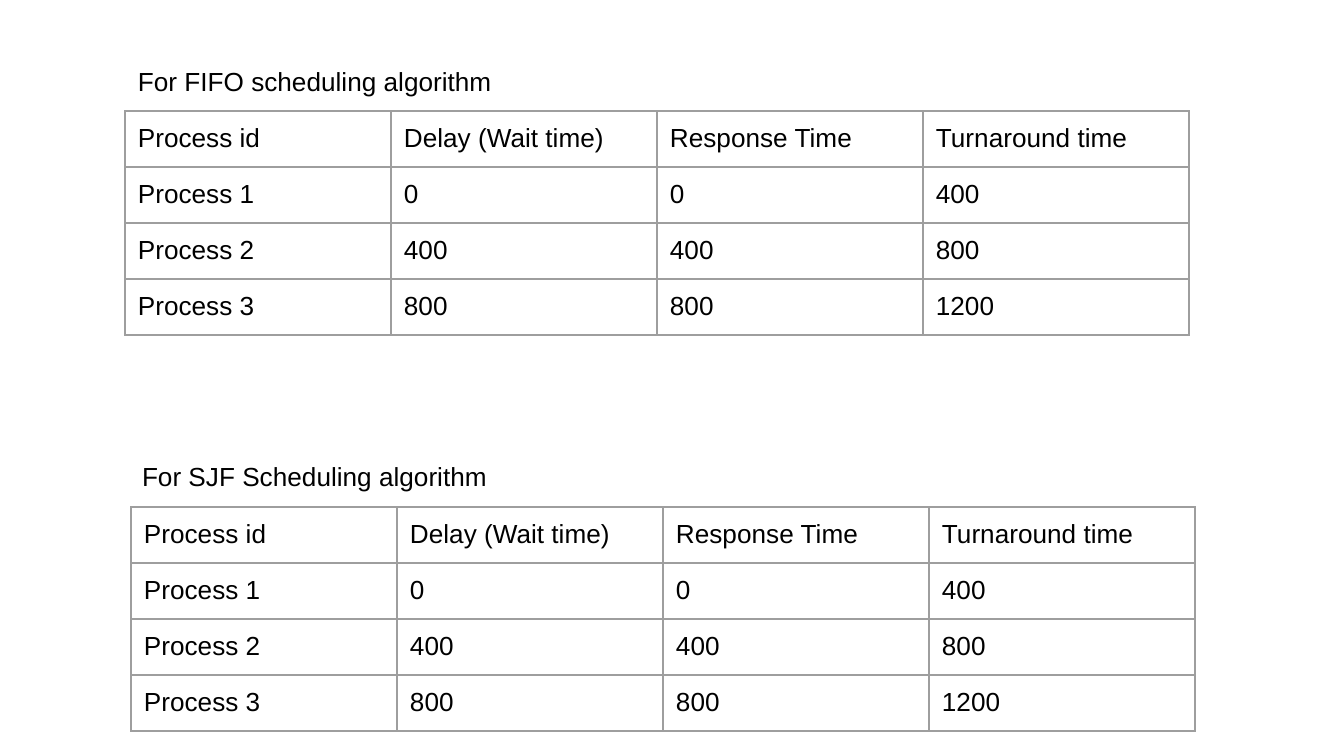
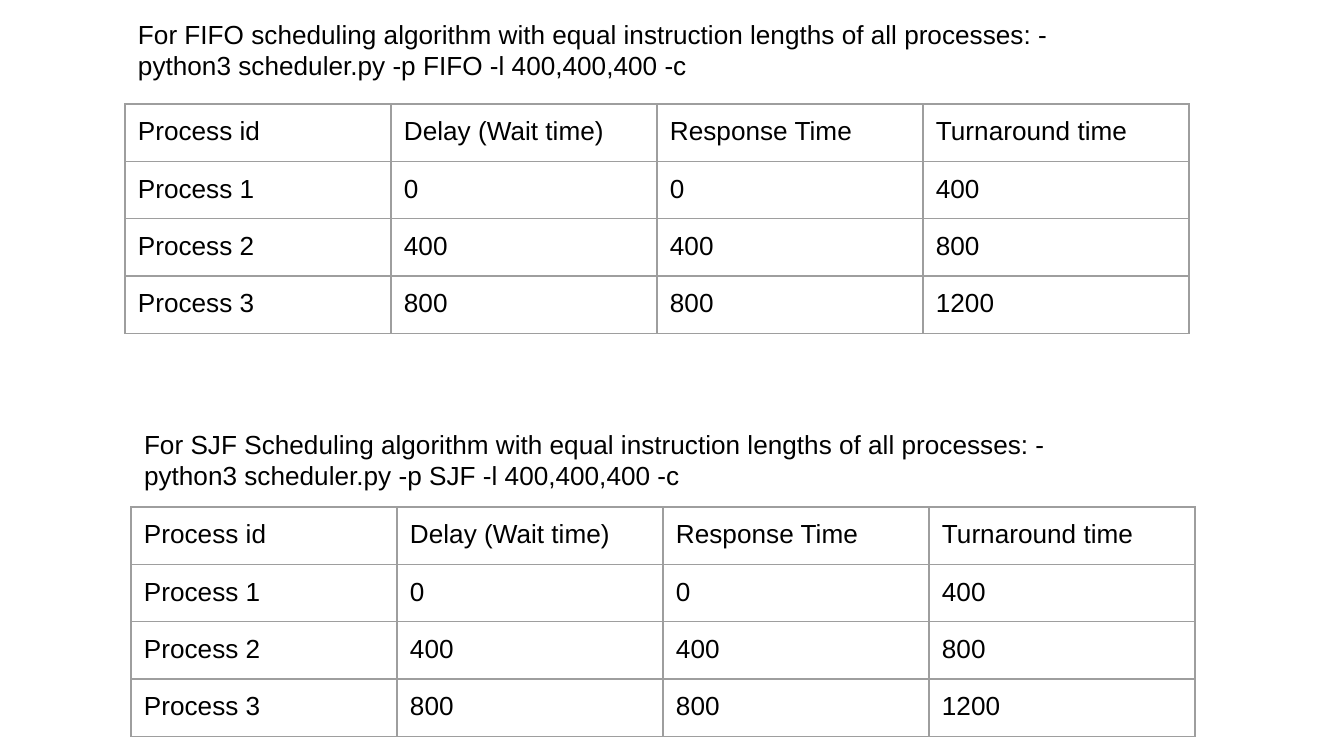
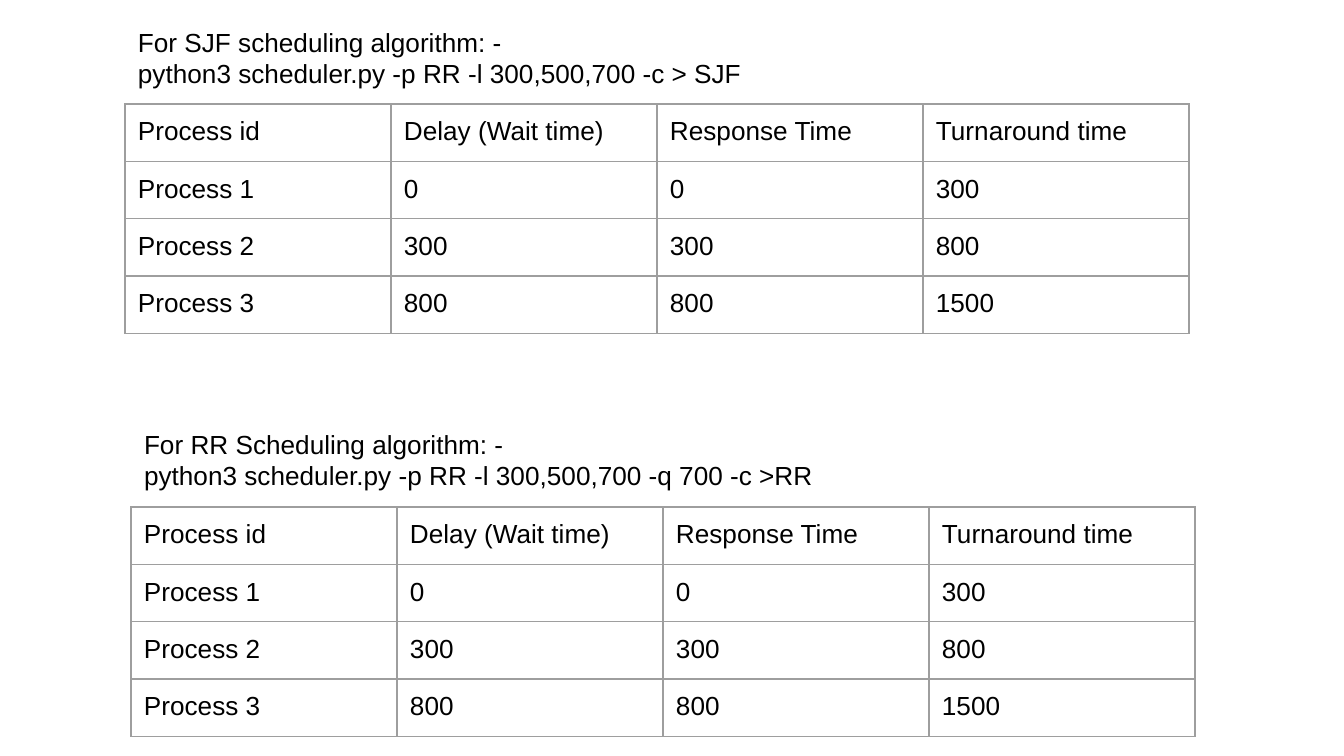
from dataclasses import dataclass
from lxml.etree import SubElement
from pptx import Presentation
from pptx.dml.color import RGBColor
from pptx.enum.text import MSO_ANCHOR, MSO_AUTO_SIZE
from pptx.oxml.ns import qn
from pptx.util import Pt


@dataclass(frozen=True)
class Theme:
    font: str = "Arial"
    size: int = 14
    ink: str = "000000"
    rule: str = "9E9E9E"
    weight: float = 0.75


THEME = Theme()
SCALE = 914400 / 134.4
WIDE, HIGH = 1344, 756
COL, ROW, PAD = 266, 56, 13
LINE = 31

HEAD = ["Process id", "Delay (Wait time)", "Response Time", "Turnaround time"]
EQUAL = [
    HEAD,
    ["Process 1", "0", "0", "400"],
    ["Process 2", "400", "400", "800"],
    ["Process 3", "800", "800", "1200"],
]
MIXED = [
    HEAD,
    ["Process 1", "0", "0", "300"],
    ["Process 2", "300", "300", "800"],
    ["Process 3", "800", "800", "1500"],
]

SLIDES = [
    [
        dict(lines=["For FIFO scheduling algorithm"],
             label=(125, 52, 814), grid=(125, 111), rows=EQUAL),
        dict(lines=["For SJF Scheduling algorithm"],
             label=(129, 447, 867), grid=(131, 507), rows=EQUAL),
    ],
    [
        dict(lines=["For FIFO scheduling algorithm with equal instruction lengths of all processes: -",
                    "python3 scheduler.py -p FIFO -l 400,400,400 -c"],
             label=(125, 5, 1016), grid=(125, 104), rows=EQUAL),
        dict(lines=["For SJF Scheduling algorithm with equal instruction lengths of all processes: -",
                    "python3 scheduler.py -p SJF -l 400,400,400 -c"],
             label=(131, 415, 1058), grid=(131, 507), rows=EQUAL),
    ],
    [
        dict(lines=["For SJF scheduling algorithm: -",
                    "python3 scheduler.py -p RR -l 300,500,700 -c > SJF"],
             label=(125, 13, 814), grid=(125, 104), rows=MIXED),
        dict(lines=["For RR Scheduling algorithm: -",
                    "python3 scheduler.py -p RR -l 300,500,700 -q 700 -c >RR"],
             label=(131, 415, 867), grid=(131, 507), rows=MIXED),
    ],
]


def px(count):
    return round(count * SCALE)


def write(frame, lines, font=THEME.font, size=THEME.size, ink=THEME.ink):
    for i, line in enumerate(lines):
        para = frame.paragraphs[0] if i == 0 else frame.add_paragraph()
        run = para.add_run()
        run.text = line
        run.font.name = font
        run.font.size = Pt(size)
        run.font.color.rgb = RGBColor.from_string(ink)


def inset(part):
    part.margin_left = part.margin_right = px(PAD)
    part.margin_top = part.margin_bottom = px(PAD)
    part.vertical_anchor = MSO_ANCHOR.TOP


def edge(cell):
    props = cell._tc.get_or_add_tcPr()
    for side in ("lnL", "lnR", "lnT", "lnB"):
        line = SubElement(props, qn(f"a:{side}"), w=str(Pt(THEME.weight)))
        fill = SubElement(line, qn("a:solidFill"))
        SubElement(fill, qn("a:srgbClr"), val=THEME.rule)


def draw_grid(slide, rows, left, top):
    tall, wide = len(rows), len(rows[0])
    table = slide.shapes.add_table(
        tall, wide, px(left), px(top), px(COL * wide), px(ROW * tall)).table
    table.first_row = table.horz_banding = False
    for col in table.columns:
        col.width = px(COL)
    for row, texts in zip(table.rows, rows):
        row.height = px(ROW)
        for cell, text in zip(row.cells, texts):
            inset(cell)
            edge(cell)
            cell.fill.background()
            write(cell.text_frame, [text])


def draw_label(slide, lines, left, top, width):
    high = LINE * len(lines) + 2 * PAD
    frame = slide.shapes.add_textbox(px(left), px(top), px(width), px(high)).text_frame
    frame.word_wrap = True
    frame.auto_size = MSO_AUTO_SIZE.SHAPE_TO_FIT_TEXT
    inset(frame)
    write(frame, lines)


def main():
    deck = Presentation()
    deck.slide_width, deck.slide_height = px(WIDE), px(HIGH)
    for parts in SLIDES:
        slide = deck.slides.add_slide(deck.slide_layouts[6])
        for part in parts:
            draw_grid(slide, part["rows"], *part["grid"])
        for part in parts:
            draw_label(slide, part["lines"], *part["label"])
    deck.save("out.pptx")


if __name__ == "__main__":
    main()
